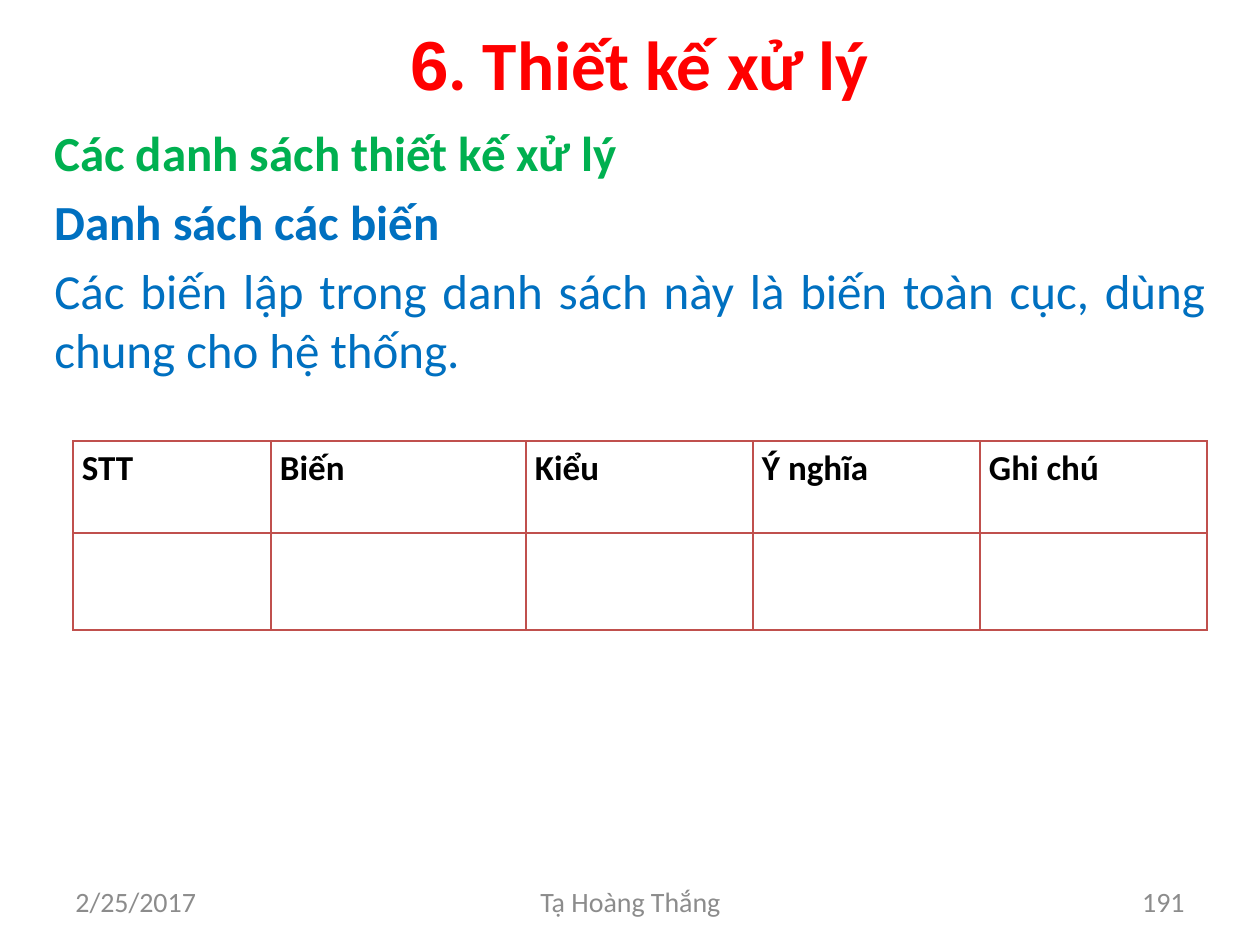
"""Builds the slide on the variable list of the processing design."""
from dataclasses import dataclass
from typing import Any

from lxml.etree import SubElement
from pptx import Presentation
from pptx.dml.color import RGBColor
from pptx.enum.text import MSO_ANCHOR as Anchor, PP_ALIGN as Align
from pptx.oxml.ns import qn
from pptx.util import Emu, Pt


@dataclass(frozen=True)
class Theme:
    font: str = "Calibri"
    number_font: str = "Arial"
    title_color: str = "FF0000"
    heading_color: str = "00B050"
    body_color: str = "0070C0"
    footer_color: str = "8C8C8C"
    table_color: str = "000000"
    border_color: str = "C0504D"
    title_size: float = 39.6
    body_size: int = 28
    table_size: int = 20
    footer_size: int = 16
    paragraph_gap: int = 6
    border_width: int = 1


@dataclass(frozen=True)
class Box:
    left: int
    top: int
    width: int
    height: int


@dataclass(frozen=True)
class BodyLine:
    text: str
    color: str
    bold: bool


@dataclass(frozen=True)
class FooterItem:
    text: str
    box: Box
    align: Align


THEME = Theme()
PX_PER_INCH = 126
TITLE_BOX = Box(63, 21, 1134, 84)
BODY_BOX = Box(42, 116, 1176, 766)
BODY_LINES = [
    BodyLine("Các danh sách thiết kế xử lý", THEME.heading_color, True),
    BodyLine("Danh sách các biến", THEME.body_color, True),
    BodyLine(
        "Các biến lập trong danh sách này là biến toàn cục, dùng chung cho hệ thống.",
        THEME.body_color,
        False,
    ),
]
FOOTER_ITEMS = [
    FooterItem("2/25/2017", Box(63, 876, 294, 50), Align.LEFT),
    FooterItem("Tạ Hoàng Thắng", Box(431, 876, 399, 50), Align.CENTER),
    FooterItem("191", Box(903, 876, 294, 50), Align.RIGHT),
]
TABLE_LEFT, TABLE_TOP = 73, 441
COLUMN_WIDTHS = [198, 255, 227, 227, 227]
ROW_HEIGHTS = [92, 97]
CELL_MARGIN = 9
HEADERS = ["STT", "Biến", "Kiểu", "Ý nghĩa", "Ghi chú"]


def px(value: int) -> Emu:
    """Turn pixels into EMU."""
    return Emu(round(value * 914400 / PX_PER_INCH))


def place(box: Box) -> tuple[Emu, Emu, Emu, Emu]:
    """Give the position and size of a box in EMU."""
    return px(box.left), px(box.top), px(box.width), px(box.height)


def add_run(paragraph: Any, text: str, size: float, color: str,
            bold: bool = False, font: str = THEME.font) -> None:
    """Add one formatted run to a paragraph."""
    run = paragraph.add_run()
    run.text = text
    run.font.name = font
    run.font.size = Pt(size)
    run.font.bold = bold
    run.font.color.rgb = RGBColor.from_string(color)


def add_title(slide: Any) -> None:
    """Move the title placeholder and fill it."""
    title = slide.shapes.title
    title.left, title.top, title.width, title.height = place(TITLE_BOX)
    title.text_frame.vertical_anchor = Anchor.MIDDLE
    paragraph = title.text_frame.paragraphs[0]
    paragraph.alignment = Align.CENTER
    for text, font in ((" 6", THEME.number_font), (". Thiết kế xử lý", THEME.font)):
        add_run(paragraph, text, THEME.title_size, THEME.title_color, True, font)


def add_body(slide: Any, lines: list[BodyLine]) -> None:
    """Add the justified body paragraphs."""
    frame = slide.shapes.add_textbox(*place(BODY_BOX)).text_frame
    frame.word_wrap = True
    for index, line in enumerate(lines):
        paragraph = frame.add_paragraph() if index else frame.paragraphs[0]
        paragraph.alignment = Align.JUSTIFY
        paragraph.space_before = Pt(THEME.paragraph_gap)
        add_run(paragraph, line.text, THEME.body_size, line.color, line.bold)


def add_footer_item(slide: Any, item: FooterItem) -> None:
    """Add one text of the footer row."""
    frame = slide.shapes.add_textbox(*place(item.box)).text_frame
    frame.word_wrap = True
    frame.vertical_anchor = Anchor.MIDDLE
    paragraph = frame.paragraphs[0]
    paragraph.alignment = item.align
    add_run(paragraph, item.text, THEME.footer_size, THEME.footer_color)


def format_cell(cell: Any) -> None:
    """Give a cell its margins, borders and empty fill."""
    cell.margin_left = cell.margin_right = px(CELL_MARGIN)
    cell.margin_top = cell.margin_bottom = 0
    properties = cell._tc.get_or_add_tcPr()
    for side in ("a:lnL", "a:lnR", "a:lnT", "a:lnB"):
        line = SubElement(properties, qn(side), w=str(Pt(THEME.border_width)))
        fill = SubElement(line, qn("a:solidFill"))
        SubElement(fill, qn("a:srgbClr"), val=THEME.border_color)
    cell.fill.background()


def add_variable_table(slide: Any) -> None:
    """Add the table with its header row and one empty row."""
    box = Box(TABLE_LEFT, TABLE_TOP, sum(COLUMN_WIDTHS), sum(ROW_HEIGHTS))
    table = slide.shapes.add_table(
        len(ROW_HEIGHTS), len(COLUMN_WIDTHS), *place(box)).table
    table.first_row = table.horz_banding = False
    for column, width in zip(table.columns, COLUMN_WIDTHS):
        column.width = px(width)
    for row, height in zip(table.rows, ROW_HEIGHTS):
        row.height = px(height)
    for cell in table.iter_cells():
        format_cell(cell)
    for cell, header in zip(table.rows[0].cells, HEADERS):
        paragraph = cell.text_frame.paragraphs[0]
        paragraph.alignment = Align.JUSTIFY
        paragraph.line_spacing = 1.15
        add_run(paragraph, header, THEME.table_size, THEME.table_color, True)


def main() -> None:
    """Build and save the presentation."""
    presentation = Presentation()
    presentation.slide_width, presentation.slide_height = px(1260), px(945)
    slide = presentation.slides.add_slide(presentation.slide_layouts[5])
    add_title(slide)
    add_body(slide, BODY_LINES)
    for item in FOOTER_ITEMS:
        add_footer_item(slide, item)
    add_variable_table(slide)
    presentation.save("out.pptx")


if __name__ == "__main__":
    main()
